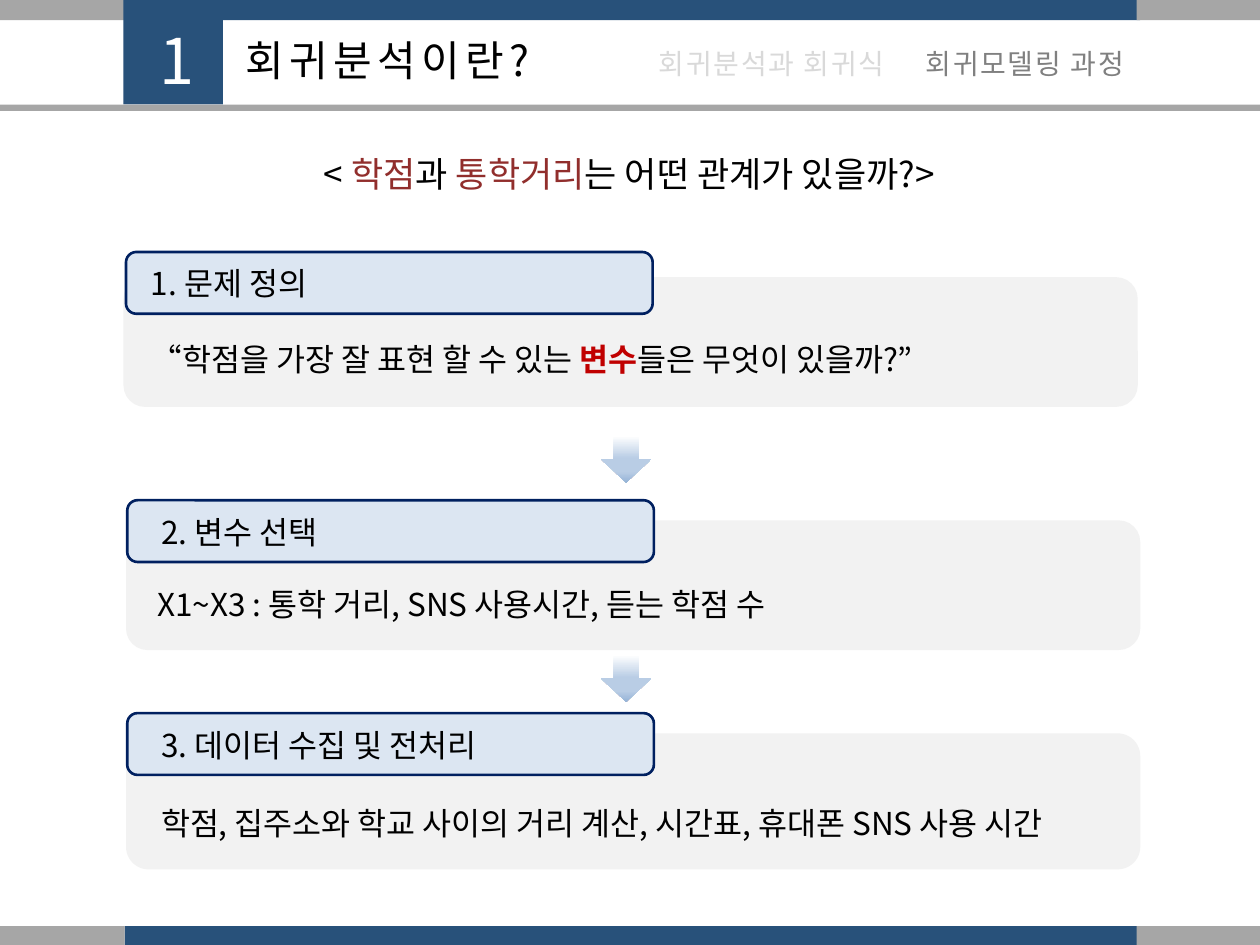
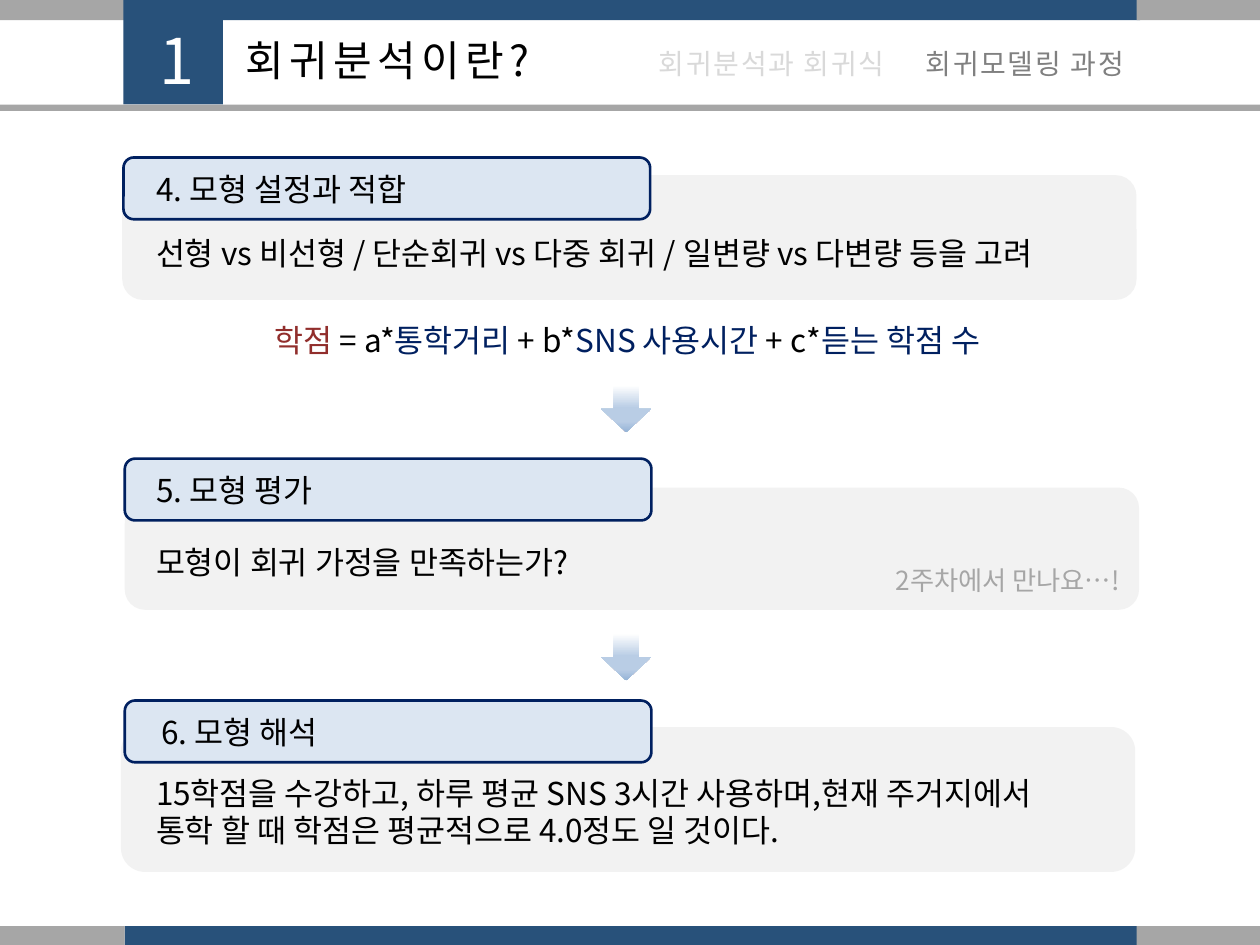
"""Build two slides on the steps of regression modelling."""
from lxml.etree import SubElement
from pptx import Presentation
from pptx.dml.color import RGBColor
from pptx.enum.shapes import MSO_SHAPE as Shape
from pptx.enum.text import MSO_ANCHOR as Anchor, MSO_AUTO_SIZE as AutoSize, PP_ALIGN as Align
from pptx.oxml.ns import qn
from pptx.util import Inches, Pt

FONT = "Noto Sans CJK KR"
BLUE, GREY, NAVY, PANEL, TAB = "28517A", "A6A6A6", "002060", "F2F2F2", "DCE6F2"
BLACK, WHITE, MAROON, RED = "000000", "FFFFFF", "912E2C", "C00000"
ARROW_STOPS = [(0, WHITE), (48, "B9CDE5"), (77, "B9CDE5"), (100, "95B3D7")]


def add_block(slide, kind, box, fill, line=None):
    shape = slide.shapes.add_shape(kind, *[Inches(value) for value in box])
    shape.shadow.inherit = False
    shape.fill.solid()
    shape.fill.fore_color.rgb = RGBColor.from_string(fill)
    if line:
        shape.line.color.rgb = RGBColor.from_string(line)
        shape.line.width = Pt(1.5)
    else:
        shape.line.fill.background()
    return shape


def write(shape, box, paragraphs, size=18, align=Align.LEFT, spacing=0):
    shape.left, shape.top, shape.width, shape.height = [Inches(value) for value in box]
    frame = shape.text_frame
    frame.word_wrap = True
    frame.auto_size = AutoSize.NONE
    frame.vertical_anchor = Anchor.TOP
    for index, runs in enumerate(paragraphs):
        paragraph = frame.add_paragraph() if index else frame.paragraphs[0]
        paragraph.alignment = align
        for text, color in runs:
            run = paragraph.add_run()
            run.text = text
            run.font.size = Pt(size)
            run.font.bold = color == RED
            run.font.color.rgb = RGBColor.from_string(color)
            run.font.name = FONT
            properties = run.font._element
            SubElement(properties, qn("a:ea")).set("typeface", FONT)
            if spacing:
                properties.set("spc", str(spacing * 100))


slides = [
    {
        "steps": [
            ((0.98, 2.2, 1.03), (1, 2), 1.1, "1. 문제 정의", (1.1, 2.65),
             [[("“학점을 가장 잘 표현 할 수 있는 ", BLACK), ("변수", RED),
               ("들은 무엇이 있을까?”", BLACK)]]),
            ((1, 4.13, 1.03), (1.01, 3.97), 1.18, "2. 변수 선택", (1.15, 4.59),
             [[("X1~X3 : 통학 거리, SNS 사용시간, 듣는 학점 수", BLACK)]]),
            ((1, 5.82, 1.08), (1.01, 5.66), 1.18, "3. 데이터 수집 및 전처리", (1.18, 6.33),
             [[("학점, 집주소와 학교 사이의 거리 계산, 시간표, 휴대폰 SNS 사용 시간", BLACK)]]),
        ],
        "arrow_tops": [3.46, 5.2],
        "captions": [
            ((0.97, 1.16, 8.05, 0.44), 20, Align.CENTER,
             [("< ", BLACK), ("학점", MAROON), ("과 ", BLACK), ("통학거리", MAROON),
              ("는 어떤 관계가 있을까?>", BLACK)]),
        ],
    },
    {
        "steps": [
            ((0.97, 1.39, 0.99), (0.98, 1.25), 1.14, "4. 모형 설정과 적합", (1.14, 1.81),
             [[("선형 vs 비선형 / 단순회귀 vs 다중 회귀 / 일변량 vs 다변량 등을 고려", BLACK)]]),
            ((0.99, 3.87, 0.97), (0.99, 3.64), 1.14, "5. 모형 평가", (1.14, 4.26),
             [[("모형이 회귀 가정을 만족하는가?", BLACK)]]),
            ((0.96, 5.77, 1.15), (0.99, 5.56), 1.18, "6. 모형 해석", (1.14, 6.09),
             [[("15학점을 수강하고, 하루 평균 SNS 3시간 사용하며,현재 주거지에서", BLACK)],
              [("통학 할 때 학점은 평균적으로 4.0정도 일 것이다.", BLACK)]]),
        ],
        "arrow_tops": [3.06, 5.03],
        "captions": [
            ((1.2, 2.5, 7.56, 0.4), 18, Align.CENTER,
             [("학점 ", MAROON), ("= a*", BLACK), ("통학거리 ", NAVY), ("+ b*", BLACK),
              ("SNS 사용시간 ", NAVY), ("+ c*", BLACK), ("듣는 학점 수", NAVY)]),
            ((7.01, 4.43, 2.2, 0.35), 15, Align.LEFT, [("2주차에서 만나요…!", GREY)]),
        ],
    },
]

presentation = Presentation()
presentation.slide_width, presentation.slide_height = Inches(10), Inches(7.5)

for content in slides:
    slide = presentation.slides.add_slide(presentation.slide_layouts[5])

    for top in (0, 7.35):
        for left, width, color in ((0.99, 8.06, BLUE), (0, 0.99, GREY), (9.02, 0.98, GREY)):
            add_block(slide, Shape.RECTANGLE, (left, top, width, 0.16), color)
    add_block(slide, Shape.RECTANGLE, (0.98, 0, 0.79, 0.83), BLUE)
    add_block(slide, Shape.RECTANGLE, (0, 0.83, 10, 0.05), GREY)

    write(slide.shapes.title, (0.99, 0.22, 4.17, 0.5), [[("회귀분석이란?", BLACK)]],
          24, Align.CENTER, 3)
    number = slide.shapes.add_textbox(0, 0, 0, 0)
    write(number, (0.97, 0.12, 0.87, 0.71), [[("1", WHITE)]], 36, Align.CENTER, 3)
    for left, width, topic, color in ((4.86, 2.26, "회귀분석과 회귀식", "D9D9D9"),
                                      (7.12, 1.9, "회귀모델링 과정", "808080")):
        write(slide.shapes.add_textbox(0, 0, 0, 0), (left, 0.32, width, 0.37),
              [[(topic, color)]], 16, Align.RIGHT, 1)

    for panel, tab, label_left, label, body, paragraphs in content["steps"]:
        panel_left, panel_top, panel_height = panel
        add_block(slide, Shape.ROUNDED_RECTANGLE,
                  (panel_left, panel_top, 8.05, panel_height), PANEL)
        add_block(slide, Shape.ROUNDED_RECTANGLE, (*tab, 4.18, 0.49), TAB, NAVY)
        write(slide.shapes.add_textbox(0, 0, 0, 0), (label_left, tab[1] + 0.05, 4.17, 0.4),
              [[(label, BLACK)]])
        write(slide.shapes.add_textbox(0, 0, 0, 0),
              (*body, 8.7, 0.1 + 0.3 * len(paragraphs)), paragraphs)

    for top in content["arrow_tops"]:
        arrow = add_block(slide, Shape.DOWN_ARROW, (4.77, top, 0.4, 0.37), WHITE)
        arrow.fill.gradient()
        arrow.fill.gradient_angle = 270
        stop_list = arrow._element.spPr.find(".//" + qn("a:gsLst"))
        for stop in list(stop_list):
            stop_list.remove(stop)
        for position, color in ARROW_STOPS:
            stop = SubElement(stop_list, qn("a:gs"))
            stop.set("pos", str(position * 1000))
            SubElement(stop, qn("a:srgbClr")).set("val", color)

    for box, size, align, runs in content["captions"]:
        write(slide.shapes.add_textbox(0, 0, 0, 0), box, [runs], size, align)

presentation.save("out.pptx")
